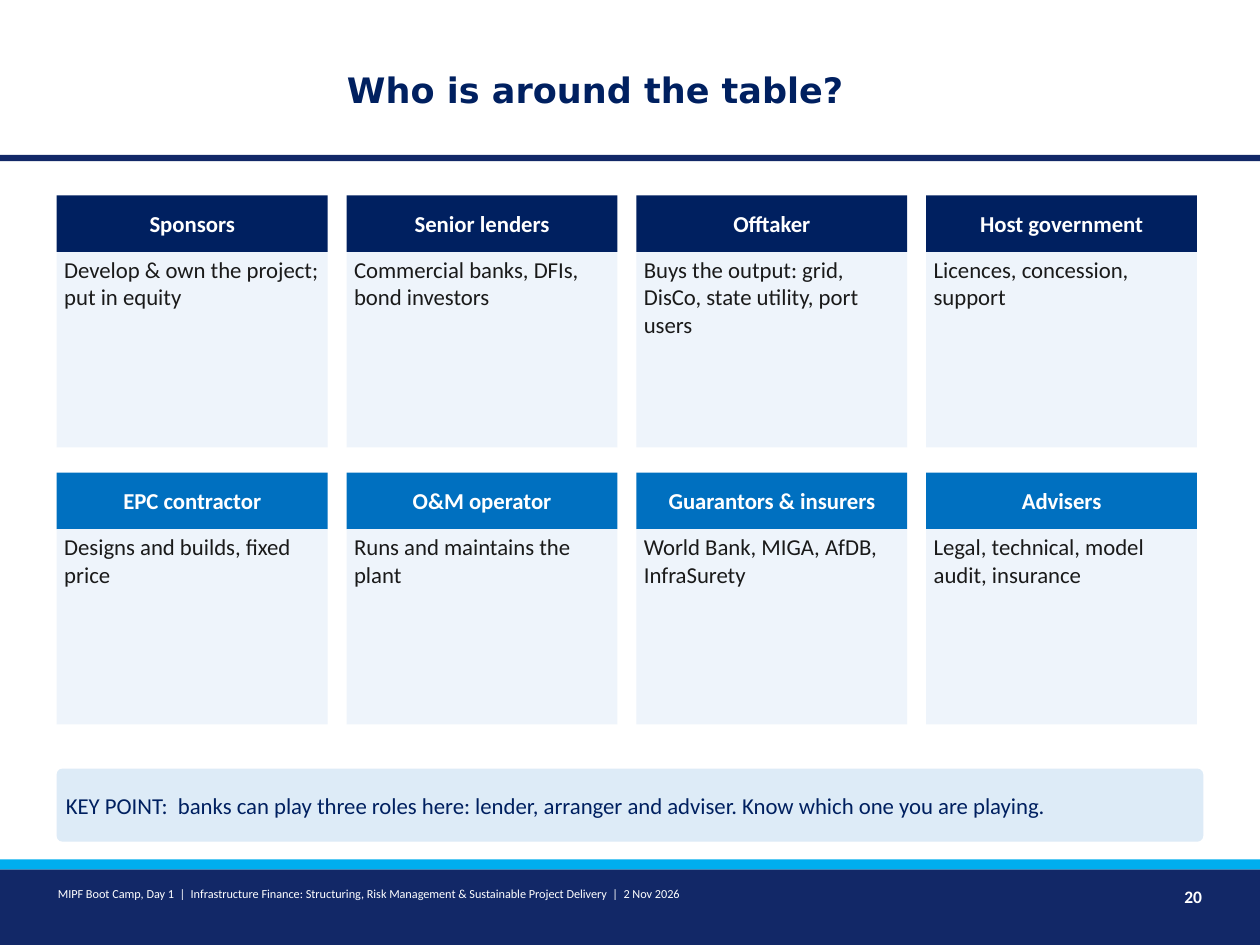
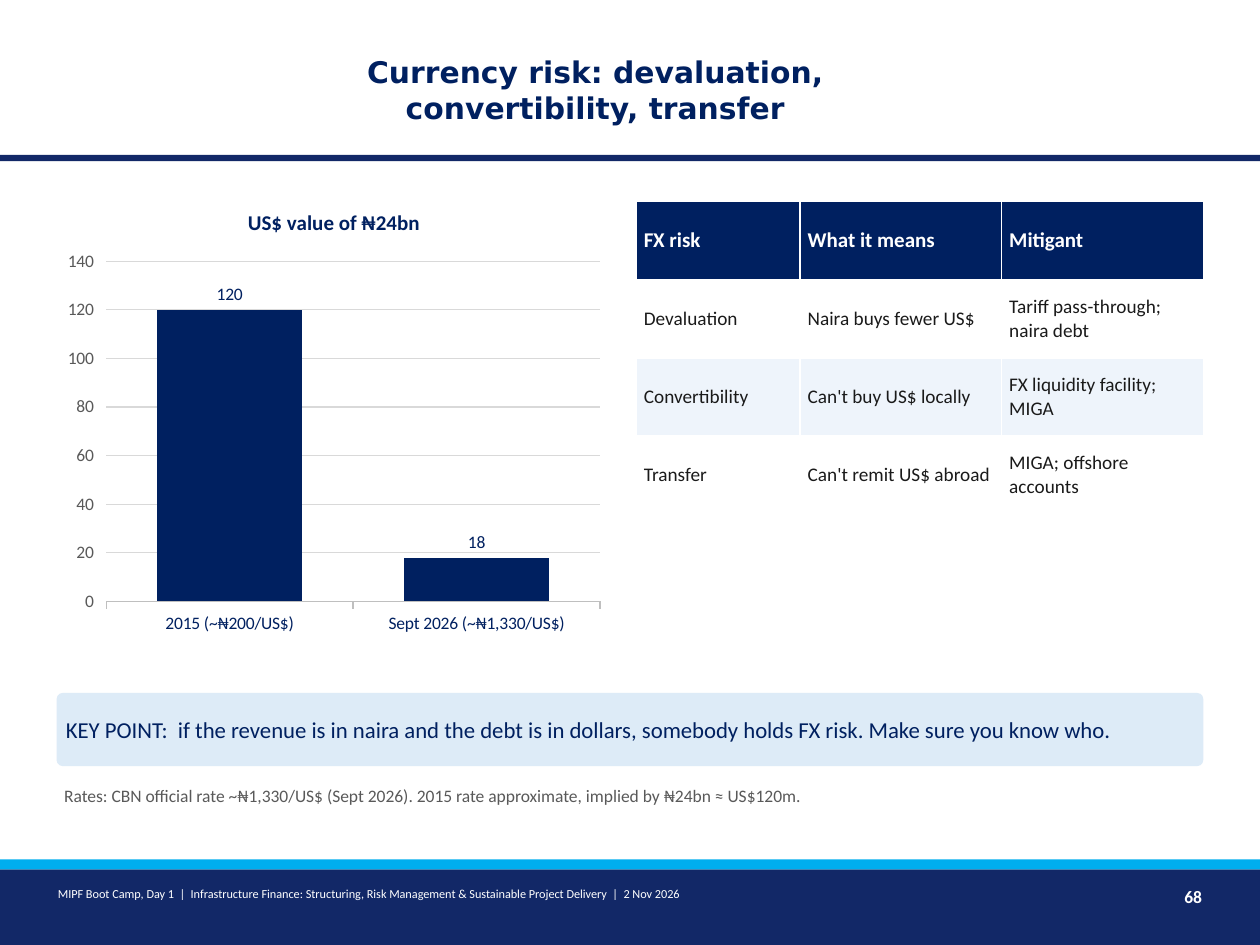
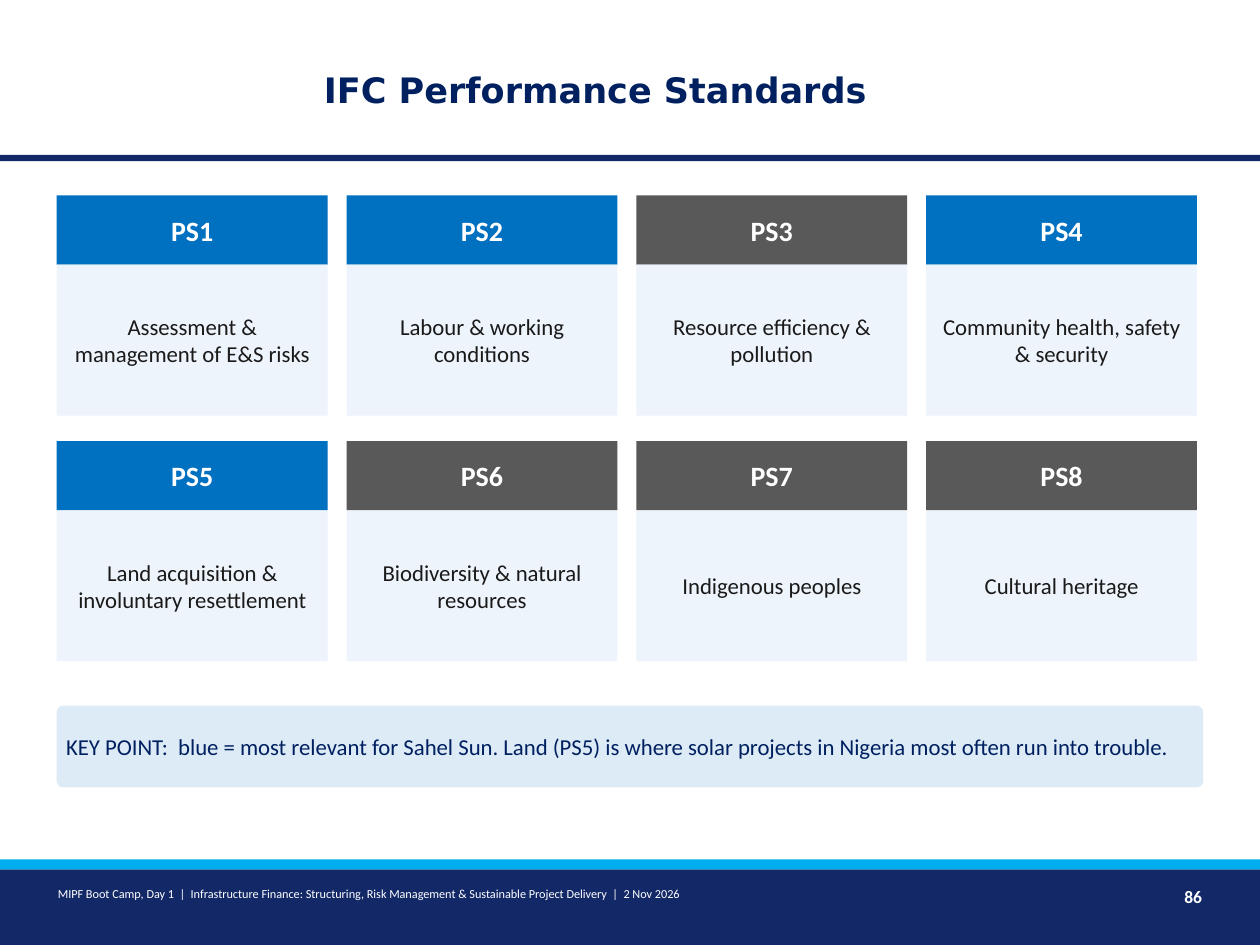
from pptx import Presentation
from pptx.chart.data import CategoryChartData as ChartData
from pptx.dml.color import RGBColor as RGB
from pptx.enum.chart import XL_CHART_TYPE as CHART, XL_LABEL_POSITION as LABEL
from pptx.enum.shapes import MSO_SHAPE as SHAPE
from pptx.enum.text import MSO_ANCHOR as ANCHOR, PP_ALIGN as ALIGN
from pptx.util import Inches, Pt

NAVY = RGB(0x00, 0x20, 0x60)
BAND = RGB(0x12, 0x28, 0x67)
CYAN = RGB(0x00, 0xAE, 0xEF)
BLUE = RGB(0x00, 0x70, 0xC0)
GREY = RGB(0x59, 0x59, 0x59)
PALE = RGB(0xEE, 0xF4, 0xFB)
SKY = RGB(0xDD, 0xEB, 0xF7)
INK = RGB(0x1A, 0x1A, 0x1A)
AXIS = RGB(0xBF, 0xBF, 0xBF)
GRID = RGB(0xD9, 0xD9, 0xD9)
WHITE = RGB(0xFF, 0xFF, 0xFF)

BODY, HEAD = "Calibri", "DejaVu Sans"
LEFT, WIDTH = 0.45, 9.1
PAD = [Inches(n) for n in (0.06, 0.03, 0.06, 0.03)]
FOOTER = ("MIPF Boot Camp, Day 1  |  Infrastructure Finance: Structuring, "
          "Risk Management & Sustainable Project Delivery  |  2 Nov 2026")


def style(font, size, color, bold=False, name=BODY):
    font.name, font.size, font.bold = name, Pt(size), bold
    font.color.rgb = color


def pad(item):
    """Set the narrow margins of a text frame or a table cell."""
    (item.margin_left, item.margin_top,
     item.margin_right, item.margin_bottom) = PAD


def write(shape, text, size, color, bold=False, name=BODY,
          align=ALIGN.LEFT, anchor=ANCHOR.TOP, after=0):
    frame = shape.text_frame
    frame.word_wrap = True
    frame.vertical_anchor = anchor
    pad(frame)
    para = frame.paragraphs[0]
    para.text, para.alignment = text, align
    para.space_after = Pt(after)
    style(para.font, size, color, bold, name)


def block(slide, box, fill, kind=SHAPE.RECTANGLE):
    shape = slide.shapes.add_shape(kind, *map(Inches, box))
    shape.shadow.inherit = False
    shape.fill.solid()
    shape.fill.fore_color.rgb = fill
    shape.line.fill.background()
    return shape


def label(slide, box, *args, **kwargs):
    write(slide.shapes.add_textbox(*map(Inches, box)), *args, **kwargs)


def start(deck, title, number, size=20):
    """Add a slide with its title, bands and footer."""
    slide = deck.slides.add_slide(deck.slide_layouts[6])
    for top, height, fill in ((1.23, 0.05, BAND), (6.9, 0.6, BAND),
                              (6.82, 0.08, CYAN)):
        block(slide, (0, top, 10, height), fill)
    label(slide, (2.3, 0.22, 4.85, 0.98), title, size, NAVY, True, HEAD,
          align=ALIGN.CENTER, anchor=ANCHOR.MIDDLE)
    label(slide, (0.4, 7, 6.8, 0.35), FOOTER, 7, WHITE)
    label(slide, (9, 7, 0.6, 0.35), str(number), 10, WHITE, True,
          align=ALIGN.RIGHT)
    return slide


def point(slide, top, text, height=0.58):
    """Add the key point bar."""
    bar = block(slide, (LEFT, top, WIDTH, height), SKY,
                SHAPE.ROUNDED_RECTANGLE)
    bar.adjustments[0] = 0.08
    write(bar, "KEY POINT:  " + text, 13, NAVY, anchor=ANCHOR.MIDDLE)


def cards(slide, items, head, body, size, **look):
    """Lay out (name, text, fill) cards in rows of four."""
    wide, gap, step = 2.15, 0.15, head + body + 0.2
    for i, (name, text, fill) in enumerate(items):
        row, col = divmod(i, 4)
        x, y = LEFT + col * (wide + gap), 1.55 + row * step
        write(block(slide, (x, y, wide, head), fill), name, size, WHITE, True,
              align=ALIGN.CENTER, anchor=ANCHOR.MIDDLE)
        write(block(slide, (x, y + head, wide, body), PALE), text, 13, INK,
              **look)


def bars(slide, box, title, cats, vals):
    data = ChartData(number_format="0")
    data.categories = cats
    data.add_series("Series 1", vals)
    chart = slide.shapes.add_chart(CHART.COLUMN_CLUSTERED,
                                   *map(Inches, box), data).chart
    style(chart.font, 11, NAVY)
    chart.has_legend = False
    chart.has_title = True
    head = chart.chart_title.text_frame.paragraphs[0]
    head.text = title
    style(head.font, 12, NAVY, True)

    style(chart.category_axis.tick_labels.font, 10, NAVY)
    line = chart.category_axis.format.line
    line.color.rgb, line.width = AXIS, Pt(0.75)

    axis = chart.value_axis
    style(axis.tick_labels.font, 10, GREY)
    axis.minimum_scale, axis.maximum_scale, axis.major_unit = 0, 140, 20
    axis.format.line.fill.background()
    line = axis.major_gridlines.format.line
    line.color.rgb, line.width = GRID, Pt(0.75)

    plot = chart.plots[0]
    plot.gap_width, plot.vary_by_categories = 70, False
    fill = plot.series[0].format.fill
    fill.solid()
    fill.fore_color.rgb = NAVY
    plot.has_data_labels = True
    tags = plot.data_labels
    tags.show_value, tags.position = True, LABEL.OUTSIDE_END
    tags.number_format, tags.number_format_is_linked = "0", False
    style(tags.font, 10, NAVY)


def table(slide, box, widths, rows):
    grid = slide.shapes.add_table(len(rows), len(widths),
                                  *map(Inches, box)).table
    for col, width in zip(grid.columns, widths):
        col.width = Inches(width)
    for r, row in enumerate(rows):
        back = NAVY if r == 0 else PALE if r % 2 == 0 else WHITE
        for c, text in enumerate(row):
            cell = grid.cell(r, c)
            cell.fill.solid()
            cell.fill.fore_color.rgb = back
            cell.vertical_anchor = ANCHOR.MIDDLE
            pad(cell)
            para = cell.text_frame.paragraphs[0]
            para.text = text
            if r == 0:
                style(para.font, 12, WHITE, True)
            else:
                style(para.font, 11, INK)


def parties(deck):
    slide = start(deck, "Who is around the table?", 20)
    cards(slide, [
        ("Sponsors", "Develop & own the project; put in equity", NAVY),
        ("Senior lenders", "Commercial banks, DFIs, bond investors", NAVY),
        ("Offtaker", "Buys the output: grid, DisCo, state utility, port users",
         NAVY),
        ("Host government", "Licences, concession, support", NAVY),
        ("EPC contractor", "Designs and builds, fixed price", BLUE),
        ("O&M operator", "Runs and maintains the plant", BLUE),
        ("Guarantors & insurers", "World Bank, MIGA, AfDB, InfraSurety", BLUE),
        ("Advisers", "Legal, technical, model audit, insurance", BLUE),
    ], 0.45, 1.55, 13, after=3)
    point(slide, 6.1, "banks can play three roles here: lender, arranger and "
          "adviser. Know which one you are playing.")


def currency(deck):
    slide = start(deck, "Currency risk: devaluation, convertibility, transfer",
                  68, 17)
    bars(slide, (LEFT, 1.5, 4.4, 3.6), "US$ value of ₦24bn",
         ["2015 (~₦200/US$)", "Sept 2026 (~₦1,330/US$)"], [120, 18])
    table(slide, (5.05, 1.6, 4.5, 2.48), (1.3, 1.6, 1.6), [
        ("FX risk", "What it means", "Mitigant"),
        ("Devaluation", "Naira buys fewer US$",
         "Tariff pass-through; naira debt"),
        ("Convertibility", "Can't buy US$ locally",
         "FX liquidity facility; MIGA"),
        ("Transfer", "Can't remit US$ abroad", "MIGA; offshore accounts"),
    ])
    point(slide, 5.5, "if the revenue is in naira and the debt is in dollars, "
          "somebody holds FX risk. Make sure you know who.")
    label(slide, (LEFT, 6.2, WIDTH, 0.4),
          "Rates: CBN official rate ~₦1,330/US$ (Sept 2026). 2015 rate "
          "approximate, implied by ₦24bn ≈ US$120m.", 10, GREY, after=4)


def standards(deck):
    slide = start(deck, "IFC Performance Standards", 86)
    topics = [
        "Assessment & management of E&S risks", "Labour & working conditions",
        "Resource efficiency & pollution",
        "Community health, safety & security",
        "Land acquisition & involuntary resettlement",
        "Biodiversity & natural resources", "Indigenous peoples",
        "Cultural heritage",
    ]
    key = {1, 2, 4, 5}
    cards(slide, [(f"PS{n}", text, BLUE if n in key else GREY)
                  for n, text in enumerate(topics, 1)],
          0.55, 1.2, 16, align=ALIGN.CENTER, anchor=ANCHOR.MIDDLE)
    point(slide, 5.6, "blue = most relevant for Sahel Sun. Land (PS5) is where "
          "solar projects in Nigeria most often run into trouble.", 0.65)


def main():
    deck = Presentation()
    deck.slide_width, deck.slide_height = Inches(10), Inches(7.5)
    parties(deck)
    currency(deck)
    standards(deck)
    deck.save("out.pptx")


if __name__ == "__main__":
    main()
